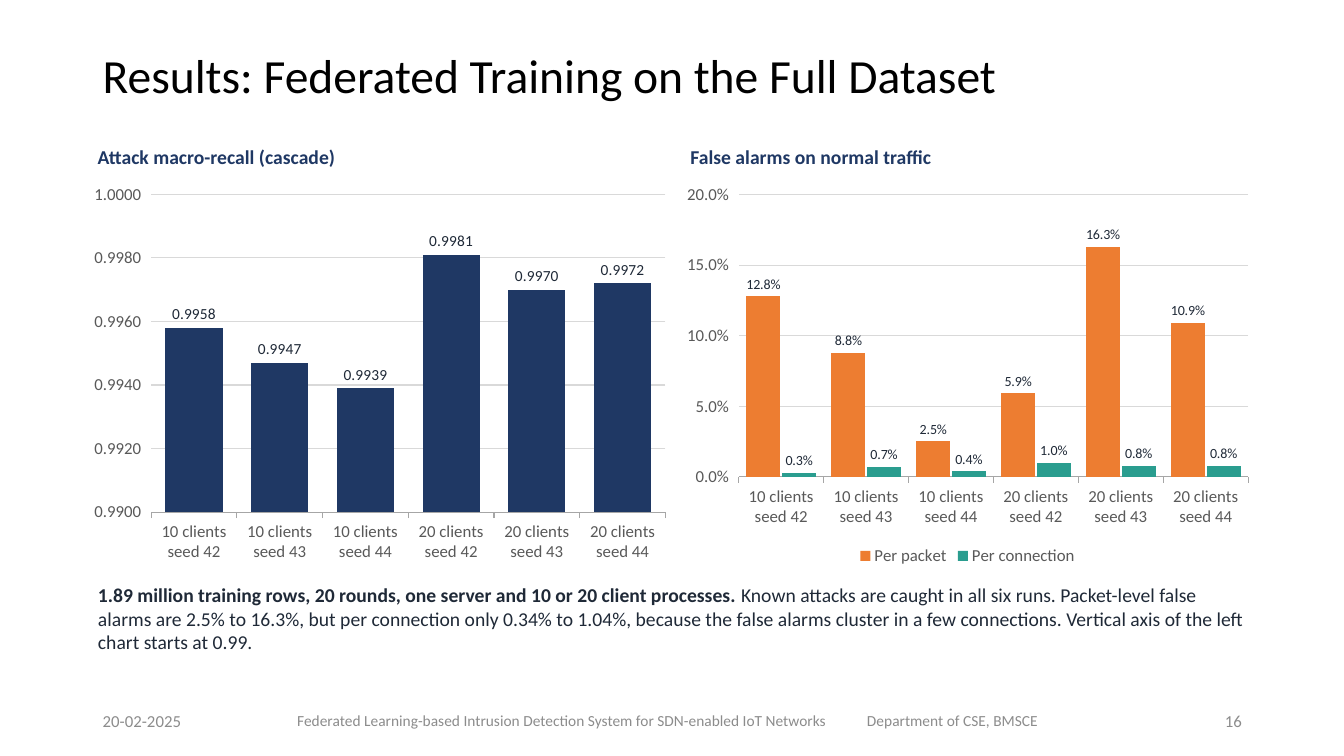
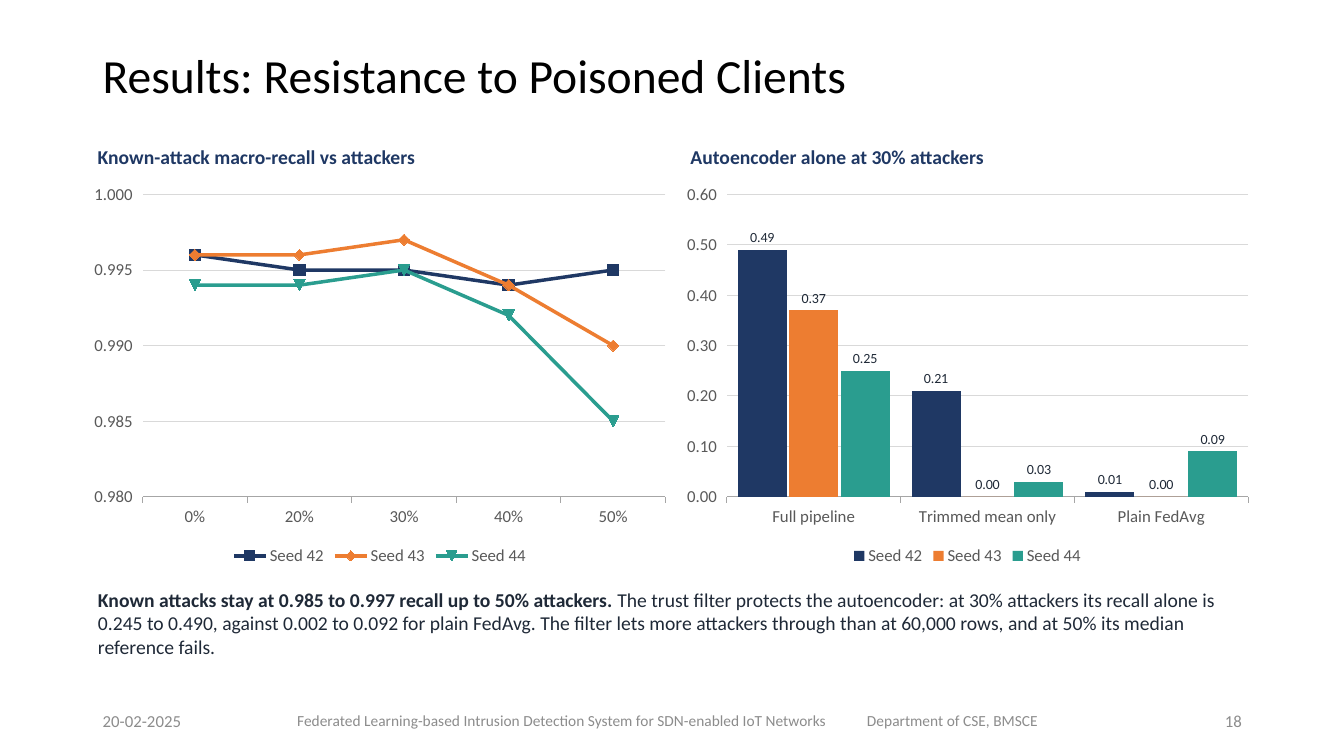
from pptx import Presentation
from pptx.chart.data import CategoryChartData
from pptx.dml.color import RGBColor
from pptx.enum.chart import XL_CHART_TYPE, XL_LABEL_POSITION, XL_LEGEND_POSITION, XL_TICK_MARK
from pptx.enum.text import MSO_ANCHOR, PP_ALIGN
from pptx.util import Cm, Pt

COLUMNS, LINES = XL_CHART_TYPE.COLUMN_CLUSTERED, XL_CHART_TYPE.LINE_MARKERS
OUTSIDE_END = XL_LABEL_POSITION.OUTSIDE_END
LEGEND_BOTTOM = XL_LEGEND_POSITION.BOTTOM
TICK_OUT = XL_TICK_MARK.OUTSIDE
LEFT, RIGHT = PP_ALIGN.LEFT, PP_ALIGN.RIGHT
TOP, MIDDLE = MSO_ANCHOR.TOP, MSO_ANCHOR.MIDDLE

FONT = "Calibri"
BLACK = RGBColor(0x00, 0x00, 0x00)
NAVY = RGBColor(0x1F, 0x38, 0x64)
ORANGE = RGBColor(0xED, 0x7D, 0x31)
TEAL = RGBColor(0x2A, 0x9D, 0x8F)
INK = RGBColor(0x1F, 0x29, 0x37)
AXIS_TEXT = RGBColor(0x59, 0x59, 0x59)
AXIS_LINE = RGBColor(0xA6, 0xA6, 0xA6)
GRID = RGBColor(0xD9, 0xD9, 0xD9)
FOOTER_GREY = RGBColor(0x8C, 0x8C, 0x8C)

# Content
DATE = "20-02-2025"
PROJECT = "Federated Learning-based Intrusion Detection System for SDN-enabled IoT Networks"
DEPARTMENT = "Department of CSE, BMSCE"
RUNS = [f"{clients} clients\nseed {seed}" for clients in (10, 20) for seed in (42, 43, 44)]

SLIDES = [
    {
        "title": "Results: Federated Training on the Full Dataset",
        "number": "16",
        "note_top": 14.61,
        "charts": [
            {
                "heading": "Attack macro-recall (cascade)",
                "kind": COLUMNS, "categories": RUNS,
                "scale": (0.99, 1, 0.002), "format": "0.0000",
                "gap": 50, "overlap": 0, "label_size": 11,
                "series": [("Macro-recall", NAVY,
                            (0.9958, 0.9947, 0.9939, 0.9981, 0.9970, 0.9972))],
            },
            {
                "heading": "False alarms on normal traffic",
                "kind": COLUMNS, "categories": RUNS,
                "scale": (0, 0.2, 0.05), "format": "0.0%",
                "gap": 45, "overlap": -5, "label_size": 10,
                "series": [
                    ("Per packet", ORANGE, (0.128, 0.088, 0.025, 0.059, 0.163, 0.109)),
                    ("Per connection", TEAL, (0.003, 0.007, 0.004, 0.010, 0.008, 0.008)),
                ],
            },
        ],
        "note": (
            "1.89 million training rows, 20 rounds, one server and 10 or 20 client processes. ",
            "Known attacks are caught in all six runs. Packet-level false alarms are 2.5% to "
            "16.3%, but per connection only 0.34% to 1.04%, because the false alarms cluster "
            "in a few connections. Vertical axis of the left chart starts at 0.99.",
        ),
    },
    {
        "title": "Results: Resistance to Poisoned Clients",
        "number": "18",
        "note_top": 14.73,
        "charts": [
            {
                "heading": "Known-attack macro-recall vs attackers",
                "kind": LINES, "categories": ["0%", "20%", "30%", "40%", "50%"],
                "scale": (0.98, 1, 0.005), "format": "0.000",
                "series": [
                    ("Seed 42", NAVY, (0.996, 0.995, 0.995, 0.994, 0.995)),
                    ("Seed 43", ORANGE, (0.996, 0.996, 0.997, 0.994, 0.990)),
                    ("Seed 44", TEAL, (0.994, 0.994, 0.995, 0.992, 0.985)),
                ],
            },
            {
                "heading": "Autoencoder alone at 30% attackers",
                "kind": COLUMNS,
                "categories": ["Full pipeline", "Trimmed mean only", "Plain FedAvg"],
                "scale": (0, 0.6, 0.1), "format": "0.00",
                "gap": 45, "overlap": -5, "label_size": 10,
                "series": [
                    ("Seed 42", NAVY, (0.49, 0.21, 0.01)),
                    ("Seed 43", ORANGE, (0.37, 0.00, 0.00)),
                    ("Seed 44", TEAL, (0.25, 0.03, 0.09)),
                ],
            },
        ],
        "note": (
            "Known attacks stay at 0.985 to 0.997 recall up to 50% attackers. ",
            "The trust filter protects the autoencoder: at 30% attackers its recall alone is "
            "0.245 to 0.490, against 0.002 to 0.092 for plain FedAvg. The filter lets more "
            "attackers through than at 60,000 rows, and at 50% its median reference fails.",
        ),
    },
]

# Layout in centimetres
SLIDE_WIDTH, SLIDE_HEIGHT = 33.87, 19.05
MARGIN = 2.34
BODY_WIDTH = 29.21
HEADING_TOP, CHART_TOP, CHART_HEIGHT = 3.56, 4.45, 9.91
CHART_COLUMNS = [(2.08, 14.99), (17.02, 14.73)]
HEADING_INDENT = 0.25
FOOTER_TOP, FOOTER_HEIGHT = 17.65, 1.02
NUMBER_WIDTH = 7.62
WIDE_INSETS, TIGHT_INSETS = (0.25, 0.13), (0.13, 0.08)


def add_text(slide, box, runs, size, color, align=LEFT, anchor=TOP, insets=TIGHT_INSETS):
    """Add one paragraph made of (text, bold) runs."""
    frame = slide.shapes.add_textbox(*map(Cm, box)).text_frame
    frame.word_wrap = True
    frame.vertical_anchor = anchor
    frame.margin_left = frame.margin_right = Cm(insets[0])
    frame.margin_top = frame.margin_bottom = Cm(insets[1])
    paragraph = frame.paragraphs[0]
    paragraph.alignment = align
    for text, bold in runs:
        run = paragraph.add_run()
        run.text = text
        run.font.bold = bold
    set_font(paragraph.font, size, color)
    return paragraph


def set_font(font, size, color):
    font.name = FONT
    font.size = Pt(size)
    font.color.rgb = color


def style_axes(chart, scale, number_format):
    value_axis, category_axis = chart.value_axis, chart.category_axis
    value_axis.minimum_scale, value_axis.maximum_scale, value_axis.major_unit = scale
    value_axis.tick_labels.number_format = number_format
    value_axis.tick_labels.number_format_is_linked = False
    value_axis.format.line.fill.background()
    grid = value_axis.major_gridlines.format.line
    category_line = category_axis.format.line
    for line, color in ((grid, GRID), (category_line, AXIS_LINE)):
        line.color.rgb = color
        line.width = Pt(0.75)
    for axis in (value_axis, category_axis):
        axis.major_tick_mark = TICK_OUT
        set_font(axis.tick_labels.font, 12, AXIS_TEXT)


def style_line(series, color):
    series.smooth = False
    series.format.line.color.rgb = color
    series.format.line.width = Pt(2.5)
    series.marker.size = 8
    series.marker.format.fill.solid()
    series.marker.format.fill.fore_color.rgb = color
    series.marker.format.line.color.rgb = color


def style_column(series, color, number_format, label_size):
    series.format.fill.solid()
    series.format.fill.fore_color.rgb = color
    series.invert_if_negative = False
    labels = series.data_labels
    labels.show_value = True
    labels.number_format = number_format
    labels.number_format_is_linked = False
    labels.position = OUTSIDE_END
    set_font(labels.font, label_size, INK)


def add_result_chart(slide, result, left, width):
    add_text(slide, (left + HEADING_INDENT, HEADING_TOP, width - 2 * HEADING_INDENT, 1.02),
             [(result["heading"], True)], 14, NAVY)
    data = CategoryChartData(number_format=result["format"])
    data.categories = result["categories"]
    for name, _, values in result["series"]:
        data.add_series(name, values)
    box = map(Cm, (left, CHART_TOP, width, CHART_HEIGHT))
    chart = slide.shapes.add_chart(result["kind"], *box, data).chart
    set_font(chart.font, 12, AXIS_TEXT)
    chart.has_title = False
    style_axes(chart, result["scale"], result["format"])

    chart.has_legend = len(result["series"]) > 1
    if chart.has_legend:
        chart.legend.position = LEGEND_BOTTOM
        chart.legend.include_in_layout = False
        set_font(chart.legend.font, 12, AXIS_TEXT)

    plot = chart.plots[0]
    plot.vary_by_categories = False
    if result["kind"] == COLUMNS:
        plot.gap_width, plot.overlap = result["gap"], result["overlap"]
    for series, (_, color, _) in zip(plot.series, result["series"]):
        if result["kind"] == LINES:
            style_line(series, color)
        else:
            style_column(series, color, result["format"], result["label_size"])


def add_footer(slide, number):
    number_left = MARGIN + BODY_WIDTH - NUMBER_WIDTH
    # Text, left, width, size, alignment
    for text, left, width, size, align in (
        (DATE, MARGIN, 4.5, 12, LEFT),
        (PROJECT, 7.24, 14.2, 11, LEFT),
        (DEPARTMENT, 21.6, 6, 11, LEFT),
        (number, number_left, NUMBER_WIDTH, 12, RIGHT),
    ):
        add_text(slide, (left, FOOTER_TOP, width, FOOTER_HEIGHT), [(text, False)],
                 size, FOOTER_GREY, align, MIDDLE, WIDE_INSETS)


def add_slide(deck, content):
    slide = deck.slides.add_slide(deck.slide_layouts[6])
    title = add_text(slide, (MARGIN, 0.76, 27.69, 2.41), [(content["title"], False)],
                     34, BLACK, anchor=MIDDLE, insets=WIDE_INSETS)
    title.line_spacing = 0.9
    for result, (left, width) in zip(content["charts"], CHART_COLUMNS):
        add_result_chart(slide, result, left, width)
    lead, detail = content["note"]
    add_text(slide, (MARGIN, content["note_top"], BODY_WIDTH, 2.7),
             [(lead, True), (detail, False)], 14, INK)
    add_footer(slide, content["number"])


def main():
    deck = Presentation()
    deck.slide_width, deck.slide_height = Cm(SLIDE_WIDTH), Cm(SLIDE_HEIGHT)
    for content in SLIDES:
        add_slide(deck, content)
    deck.save("out.pptx")


if __name__ == "__main__":
    main()
